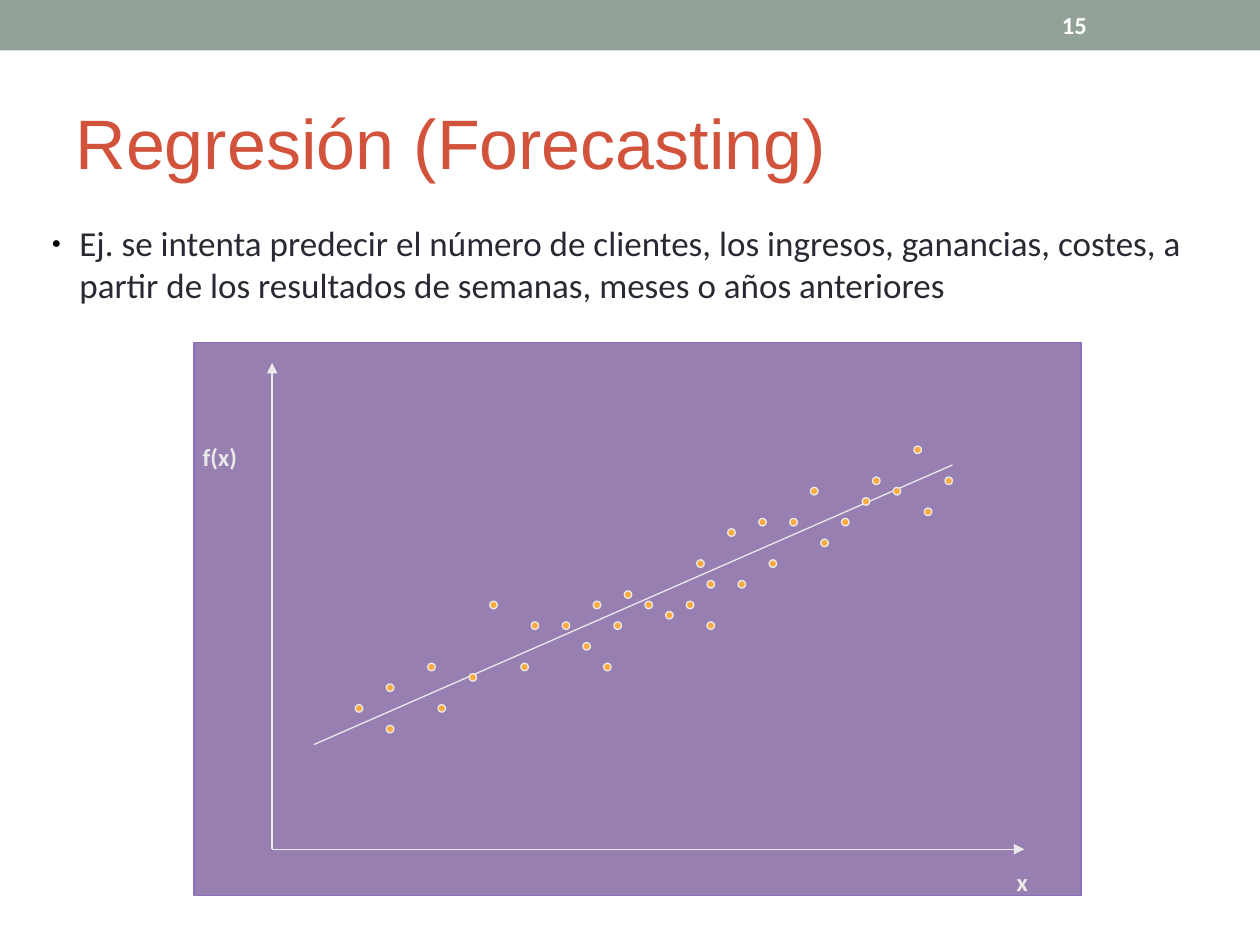
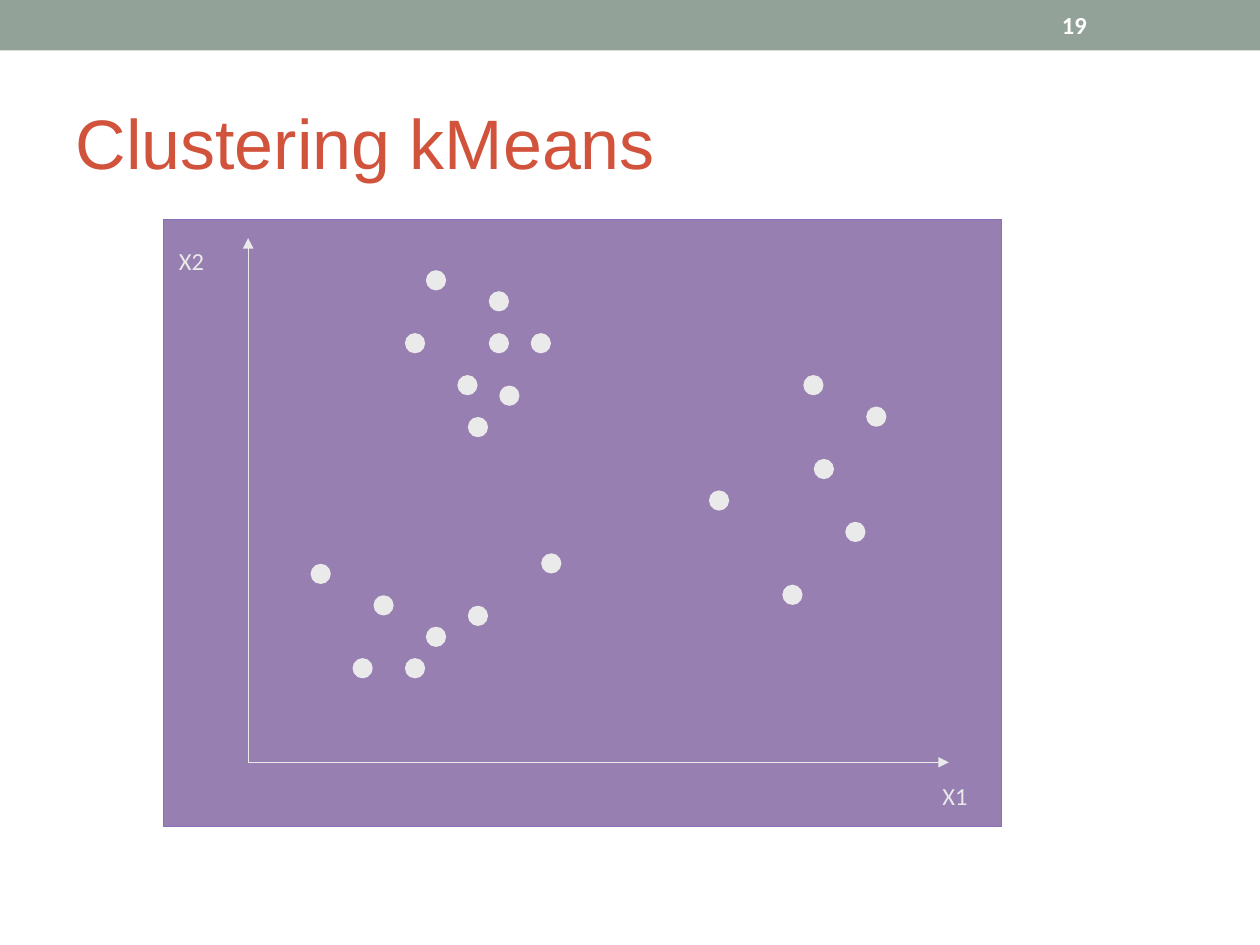
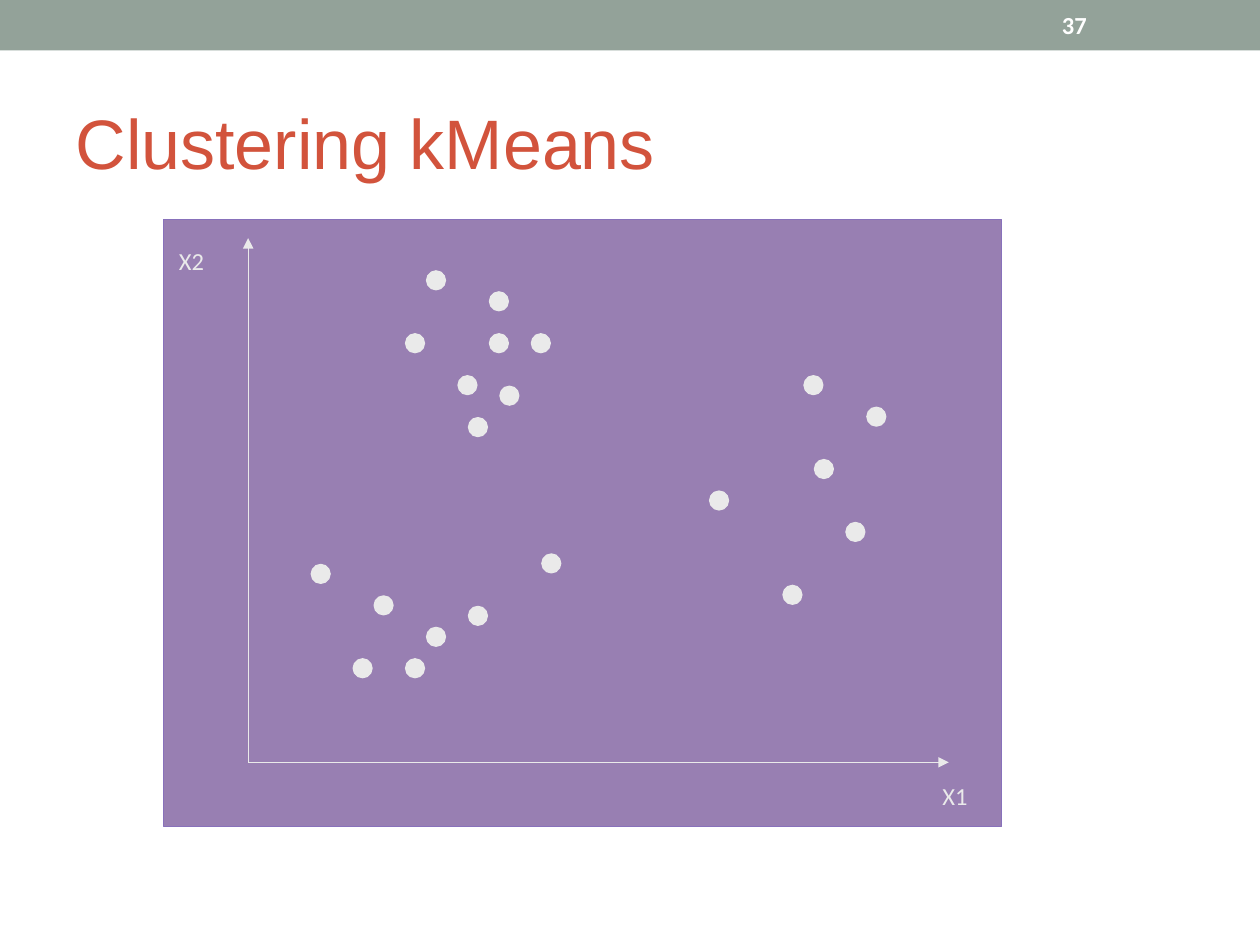
from dataclasses import dataclass

from lxml.etree import SubElement
from pptx import Presentation
from pptx.dml.color import RGBColor
from pptx.enum.shapes import MSO_CONNECTOR as Connector, MSO_SHAPE as Shape
from pptx.enum.text import MSO_ANCHOR as Anchor, MSO_AUTO_SIZE as AutoSize, PP_ALIGN as Align
from pptx.oxml.ns import qn
from pptx.util import Inches, Pt

# Shared look
BAND = RGBColor(0x93, 0xA2, 0x99)
TITLE = RGBColor(0xD2, 0x53, 0x3C)
BODY = RGBColor(0x29, 0x29, 0x34)
WHITE = RGBColor(0xFF, 0xFF, 0xFF)
PANEL = RGBColor(0x33, 0x00, 0x66)
PANEL_EDGE = RGBColor(0x88, 0x71, 0xBB)
PALE = RGBColor(0xEA, 0xEA, 0xEA)
ORANGE = RGBColor(0xFC, 0xAB, 0x40)
HAIRLINE = Pt(0.75)
TITLE_ONLY, TITLE_AND_BODY = 5, 1

# Dots as (column, row) steps on each plot's grid
SALES_DOTS = [
    (0, 25), (3, 23), (3, 27), (7, 21), (8, 25), (13, 15), (11, 22), (17, 17),
    (16, 21), (20, 17), (22, 19), (23, 15), (25, 17), (26, 14), (28, 15),
    (30, 16), (32, 15), (24, 21), (33, 11), (34, 13), (36, 8), (37, 13),
    (39, 7), (40, 11), (45, 9), (44, 4), (42, 7), (47, 7), (50, 3), (49, 5),
    (34, 17), (52, 4), (54, 0), (55, 6), (57, 3),
]
CLUSTER_DOTS = [
    (11, 0), (9, 6), (17, 2), (17, 6), (14, 10), (18, 11), (21, 6), (15, 14),
    (6, 31), (4, 37), (9, 37), (11, 34), (15, 32), (0, 28), (22, 27),
    (47, 10), (53, 13), (48, 18), (51, 24), (45, 30), (38, 21),
]


@dataclass
class Plot:
    """Lengths in inches, measured from the panel's top left corner."""
    box: tuple        # left, top, width, height on the page
    origin: tuple
    x_end: float
    y_end: float
    dots: list
    dots_at: tuple    # corner of the dot grid
    step: float
    dot_size: float
    dot_color: RGBColor
    labels: list      # text, left, top, width
    label_format: dict
    trend: tuple = ()


REGRESSION = Plot(
    box=(1.54, 2.72, 7.04, 4.39), origin=(0.62, 4.02), x_end=6.59, y_end=0.16,
    dots=SALES_DOTS, dots_at=(1.28, 0.82), step=4.68 / 57,
    dot_size=0.06, dot_color=ORANGE,
    labels=[("x", 6.43, 4.11, 0.29), ("f(x)", -0.03, 0.74, 0.47)],
    label_format={"bold": True}, trend=((0.95, 3.19), (6.02, 0.97)))

CLUSTERS = Plot(
    box=(1.3, 1.74, 6.65, 4.82), origin=(0.67, 4.31), x_end=6.23, y_end=0.15,
    dots=CLUSTER_DOTS, dots_at=(1.17, 0.41), step=4.41 / 53,
    dot_size=0.15, dot_color=PALE,
    labels=[("X1", 6.08, 4.41, 0.4), ("X2", 0.02, 0.16, 0.4)],
    label_format={"align": Align.CENTER})


def write(frame, text, size=14, color=PALE, font="Calibri", bold=False,
          align=Align.LEFT, anchor=Anchor.TOP, wrap=True, fit=AutoSize.NONE):
    frame.word_wrap = wrap
    frame.auto_size = fit
    frame.vertical_anchor = anchor
    para = frame.paragraphs[0]
    para.alignment = align
    para.space_before = Pt(0)
    span = para.add_run()
    span.text = text
    span.font.size = Pt(size)
    span.font.name = font
    span.font.bold = bold
    span.font.color.rgb = color
    return para


def place(item, left, top, width, height):
    item.left, item.top = Inches(left), Inches(top)
    item.width, item.height = Inches(width), Inches(height)


def add_block(shapes, kind, box, fill, edge=None):
    block = shapes.add_shape(kind, *map(Inches, box))
    block.shadow.inherit = False
    block.fill.solid()
    block.fill.fore_color.rgb = fill
    if edge is None:
        block.line.fill.background()
    else:
        block.line.color.rgb = edge
        block.line.width = HAIRLINE
    return block


def add_line(shapes, start, end, arrow=False):
    line = shapes.add_connector(Connector.STRAIGHT, *map(Inches, (*start, *end)))
    line.line.color.rgb = PALE
    line.line.width = HAIRLINE
    properties = line.element.spPr
    if arrow:
        SubElement(properties.find(qn("a:ln")), qn("a:tailEnd"), type="triangle")
    SubElement(properties, qn("a:effectLst"))


def add_master_band(deck, page):
    # Masters cannot add shapes directly, so the band is moved there
    band = add_block(page.shapes, Shape.RECTANGLE, (0, 0, 10, 0.4), BAND)
    deck.slide_master.shapes.element.insert(2, band.element)


def add_page(deck, layout, title, number):
    page = deck.slides.add_slide(deck.slide_layouts[layout])
    heading = page.shapes.title
    place(heading, 0.5, 0.58, 9, 1.08)
    write(heading.text_frame, title, size=40, color=TITLE, font="Arial",
          anchor=Anchor.MIDDLE)
    counter = page.shapes.add_textbox(*map(Inches, (8.33, 0.02, 1.17, 0.36)))
    write(counter.text_frame, str(number), color=WHITE, bold=True,
          anchor=Anchor.MIDDLE)
    return page


def fill_body(page, text):
    body = page.placeholders[1]
    place(body, 0.31, 1.71, 9.41, 5.96)
    para = write(body.text_frame, text, size=20, color=BODY)
    # Small black bullet with a hanging indent
    settings = para._p.get_or_add_pPr()
    settings.set("marL", str(Inches(0.22)))
    settings.set("indent", str(Inches(-0.22)))
    SubElement(SubElement(settings, qn("a:buClr")), qn("a:srgbClr"), val="000000")
    SubElement(settings, qn("a:buSzPct"), val="45000")
    SubElement(settings, qn("a:buChar"), char="●")


def draw_plot(page, plot):
    shapes = page.shapes.add_group_shape().shapes
    left, top, width, height = plot.box

    def at(x, y):
        return left + x, top + y

    # Half-transparent panel
    panel = add_block(shapes, Shape.RECTANGLE, plot.box, PANEL, PANEL_EDGE)
    color = panel.element.spPr.find(qn("a:solidFill")).find(qn("a:srgbClr"))
    SubElement(color, qn("a:alpha"), val="50000")

    # Axes and trend
    origin_x, origin_y = plot.origin
    add_line(shapes, at(*plot.origin), at(plot.x_end, origin_y), arrow=True)
    add_line(shapes, at(*plot.origin), at(origin_x, plot.y_end), arrow=True)
    if plot.trend:
        add_line(shapes, *(at(*point) for point in plot.trend))

    # Dots
    grid_x, grid_y = plot.dots_at
    for column, row in plot.dots:
        corner = at(grid_x + column * plot.step, grid_y + row * plot.step)
        add_block(shapes, Shape.OVAL, (*corner, plot.dot_size, plot.dot_size),
                  plot.dot_color, PALE)

    # Axis names
    for text, x, y, label_width in plot.labels:
        label = shapes.add_textbox(*map(Inches, (*at(x, y), label_width, 0.34)))
        write(label.text_frame, text, wrap=False, fit=AutoSize.SHAPE_TO_FIT_TEXT,
              **plot.label_format)


def main():
    deck = Presentation()
    deck.slide_width, deck.slide_height = Inches(10), Inches(7.5)

    page = add_page(deck, TITLE_AND_BODY, "Regresión (Forecasting)", 15)
    add_master_band(deck, page)
    fill_body(page, "Ej. se intenta predecir el número de clientes, los ingresos, "
                    "ganancias, costes, a partir de los resultados de semanas, "
                    "meses o años anteriores")
    draw_plot(page, REGRESSION)

    for number in (19, 37):
        page = add_page(deck, TITLE_ONLY, "Clustering kMeans", number)
        draw_plot(page, CLUSTERS)

    deck.save("out.pptx")


if __name__ == "__main__":
    main()
